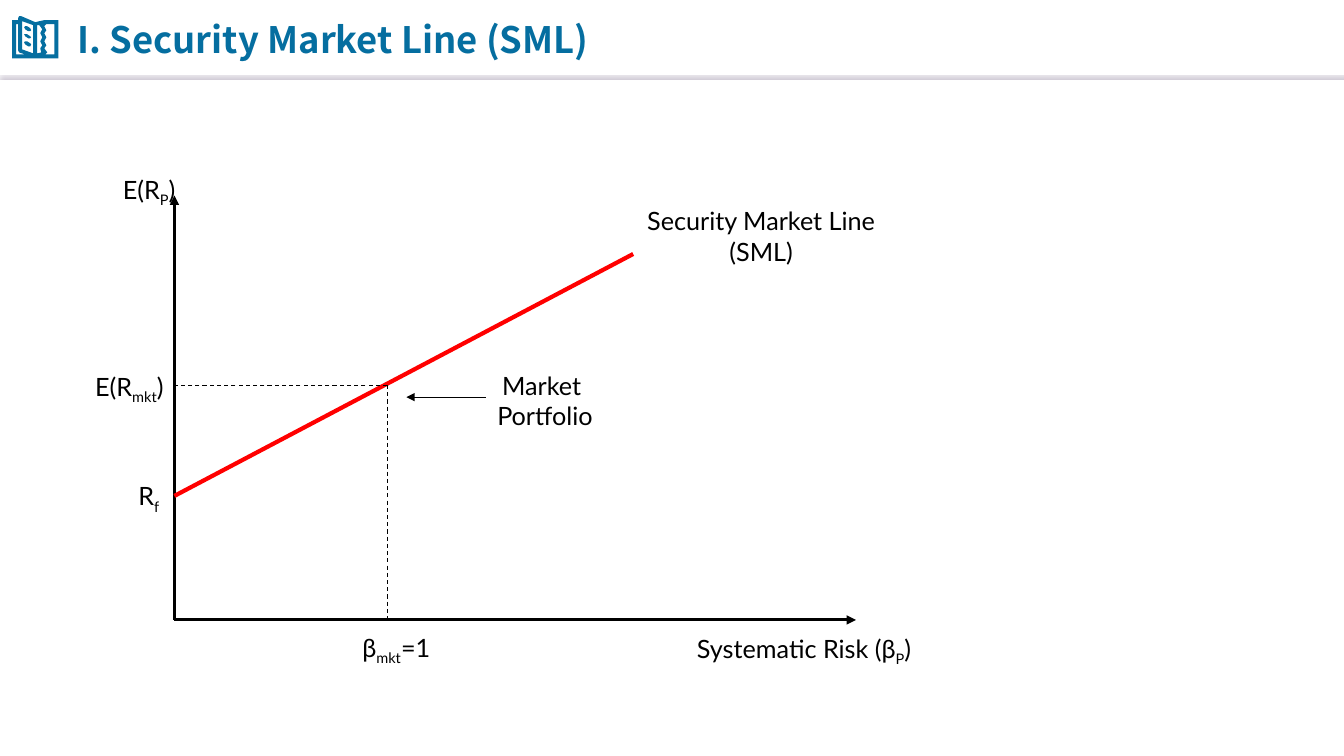
"""Build a slide that draws the Security Market Line."""
from lxml.etree import SubElement
from pptx import Presentation
from pptx.dml.color import RGBColor
from pptx.enum.dml import MSO_LINE
from pptx.enum.shapes import MSO_CONNECTOR
from pptx.enum.text import MSO_ANCHOR, MSO_AUTO_SIZE, PP_ALIGN
from pptx.oxml.ns import qn
from pptx.util import Inches, Pt

TITLE = "I. Security Market Line (SML)"
BLUE, BLACK, RED, WHITE, SHADE = "056EA0", "000000", "FF0000", "FFFFFF", "BCB4C4"
LEFT, CENTER, RIGHT = PP_ALIGN.LEFT, PP_ALIGN.CENTER, PP_ALIGN.RIGHT

ORIGIN_X, ORIGIN_Y = 1.73, 6.15
MARKET_X, MARKET_Y = 3.84, 3.82

# start, end, colour, width, dashed, arrow
LINES = [
    ((ORIGIN_X, ORIGIN_Y), (8.49, ORIGIN_Y), BLACK, 2.25, False, True),
    ((ORIGIN_X, ORIGIN_Y), (ORIGIN_X, 1.94), BLACK, 2.25, False, True),
    ((ORIGIN_X, 4.92), (6.28, 2.52), RED, 3, False, False),
    ((MARKET_X, MARKET_Y), (ORIGIN_X, MARKET_Y), BLACK, 0.75, True, False),
    ((MARKET_X, MARKET_Y), (MARKET_X, ORIGIN_Y), BLACK, 0.75, True, False),
    ((4.82, 3.94), (4.03, 3.94), BLACK, 0.75, False, True),
]

# left, top, width, height, alignment, line spacing, paragraphs of (text, subscript, rest)
LABELS = [
    (1.12, 1.61, 0.85, 0.47, LEFT, 1.2, [("E(R", "P", ")")]),
    (6.2, 1.99, 2.7, 0.71, CENTER, 1, [("Security Market Line",), ("(SML)",)]),
    (1.22, 4.72, 0.51, 0.4, CENTER, 1, [("R", "f")]),
    (6.52, 6.23, 2.91, 0.4, CENTER, 1, [("Systematic Risk (β", "P", ")")]),
    (3.27, 6.22, 1.32, 0.4, CENTER, 1, [("β", "mkt", "=1")]),
    (4.5, 3.62, 1.81, 0.71, CENTER, 1, [("Market ",), ("Portfolio",)]),
    (0.57, 3.63, 1.15, 0.4, RIGHT, 1, [("E(R", "mkt", ")")]),
]

# book icon outlines in hundredths of an inch
BOOK = [
    [(14, 20), (18, 20), (18, 18), (19, 16.5), (21, 16), (35, 22), (44, 20), (56, 20),
     (57.5, 20.5), (58, 22), (58, 56), (57.5, 57.5), (56, 58), (14, 58), (12.5, 57.5),
     (12, 56), (12, 22), (12.5, 20.5)],
    [(16, 24), (18, 24), (18, 50), (19, 52), (25, 54), (16, 54)],
    [(22, 21), (33, 25), (33, 53), (22, 49)],
    [(37, 25), (39, 25), (42, 29), (39.5, 33), (42, 37), (39.5, 41), (42, 45),
     (39.5, 48.5), (41, 52), (37, 53)],
    [(46, 24), (54, 24), (54, 54), (45, 54), (47, 52), (44, 48), (46.5, 45), (44, 41),
     (46.5, 37), (44, 33), (46.5, 29.5), (44, 26)],
]
DASH = [(24, 1), (25, 0), (27, 0), (30, 2), (31, 3.5), (30, 5), (28.5, 5), (25, 3)]
DASH_TOPS = [26, 33.5, 41]


def rgb(color):
    return RGBColor.from_string(color)


def add_line(slide, start, end, color, width, dashed=False, arrow=False):
    x1, y1, x2, y2 = (Inches(v) for v in start + end)
    line = slide.shapes.add_connector(MSO_CONNECTOR.STRAIGHT, x1, y1, x2, y2)
    line.line.color.rgb = rgb(color)
    line.line.width = Pt(width)
    if dashed:
        line.line.dash_style = MSO_LINE.DASH
    if arrow:
        SubElement(line.line._get_or_add_ln(), qn("a:tailEnd"), type="triangle")
    return SubElement(line._element.spPr, qn("a:effectLst"))


def add_header_rule(slide):
    effects = add_line(slide, (0, 0.73), (13.33, 0.73), WHITE, 0.75)
    shadow = SubElement(effects, qn("a:outerShdw"), blurRad=str(Pt(1)), dist=str(Pt(3)),
                        dir="5400000", algn="t", rotWithShape="0")
    SubElement(shadow, qn("a:srgbClr"), val=SHADE)


def add_book(slide):
    dashes = [[(x, y + top) for x, y in DASH] for top in DASH_TOPS]
    first, *others = BOOK + dashes
    builder = slide.shapes.build_freeform(*first[0], scale=Inches(0.01))
    builder.add_line_segments(first[1:])
    for outline in others:
        builder.move_to(*outline[0])
        builder.add_line_segments(outline[1:])
    sp = builder.convert_to_shape()
    sp.shadow.inherit = False
    sp.fill.solid()
    sp.fill.fore_color.rgb = rgb(BLUE)
    sp.line.fill.background()


def add_title(slide):
    sp = slide.shapes.title
    sp.left, sp.top, sp.width, sp.height = (Inches(v) for v in (0.67, 0.07, 10.68, 0.63))
    tf = sp.text_frame
    tf.text = TITLE
    tf.vertical_anchor = MSO_ANCHOR.MIDDLE
    p = tf.paragraphs[0]
    p.alignment = LEFT
    font = p.runs[0].font
    font.name, font.size, font.bold = "Noto Sans CJK SC", Pt(26), True
    font.color.rgb = rgb(BLUE)


def add_label(slide, left, top, width, height, align, spacing, paragraphs):
    box = slide.shapes.add_textbox(*(Inches(v) for v in (left, top, width, height)))
    tf = box.text_frame
    tf.word_wrap = True
    tf.auto_size = MSO_AUTO_SIZE.SHAPE_TO_FIT_TEXT
    for i, parts in enumerate(paragraphs):
        p = tf.add_paragraph() if i else tf.paragraphs[0]
        p.alignment = align
        p.line_spacing = spacing
        for j, text in enumerate(parts):
            r = p.add_run()
            r.text = text
            r.font.name, r.font.size = "Lato", Pt(18)
            r.font.color.rgb = rgb(BLACK)
            if j == 1:
                r._r.get_or_add_rPr().set("baseline", "-25000")


def main():
    prs = Presentation()
    prs.slide_width, prs.slide_height = Inches(13.33), Inches(7.5)
    slide = prs.slides.add_slide(prs.slide_layouts[5])
    add_header_rule(slide)
    add_book(slide)
    add_title(slide)
    for line in LINES:
        add_line(slide, *line)
    for label in LABELS:
        add_label(slide, *label)
    prs.save("out.pptx")


if __name__ == "__main__":
    main()
